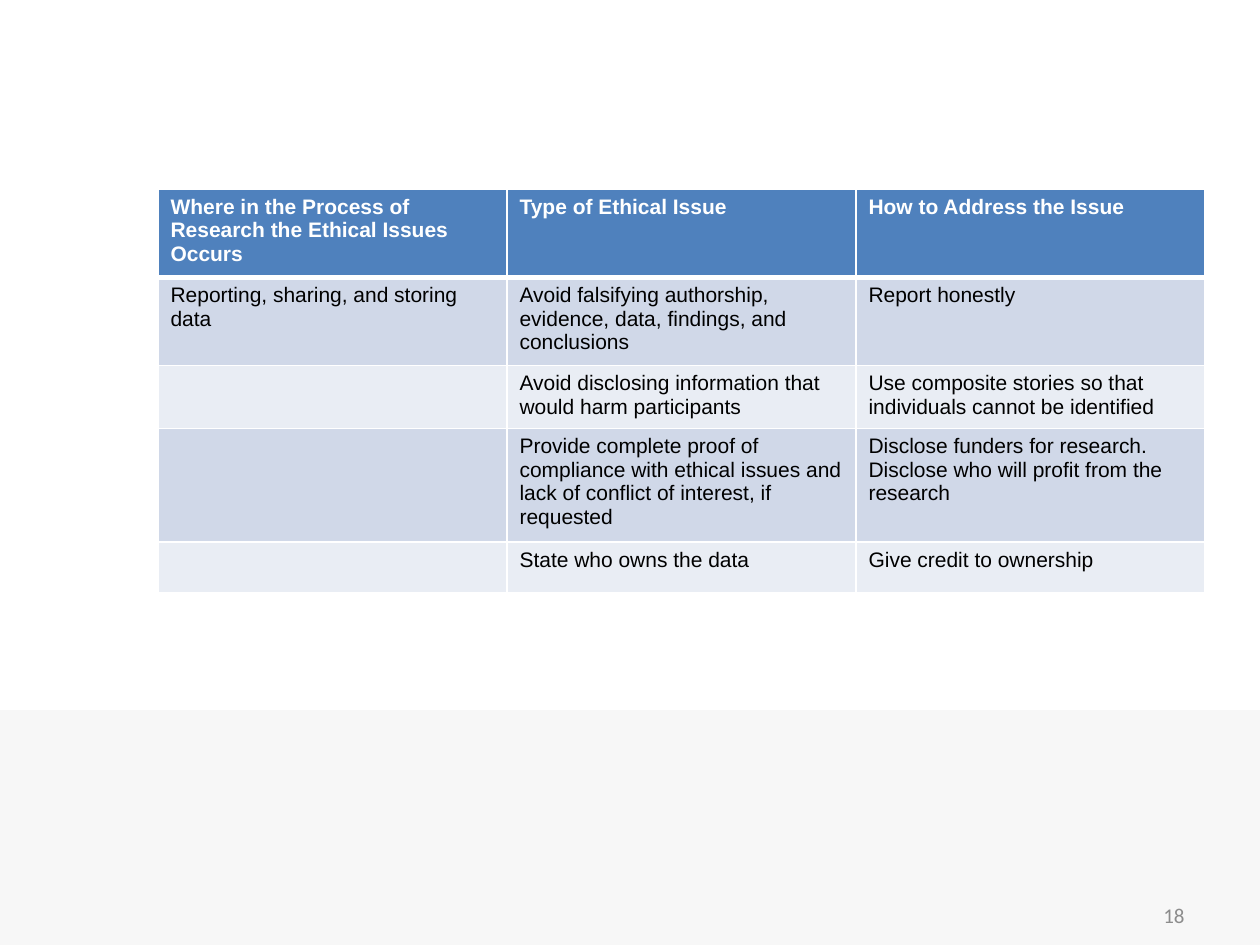
import lxml.etree
import pptx
import pptx.dml.color
import pptx.enum.shapes
import pptx.enum.text
import pptx.oxml.ns
import pptx.util

EMU_PER_PIXEL = 914400 / 126
WHITE = pptx.dml.color.RGBColor(0xFF, 0xFF, 0xFF)
BLACK = pptx.dml.color.RGBColor(0x00, 0x00, 0x00)
FOOTER_GRAY = pptx.dml.color.RGBColor(0xF7, 0xF7, 0xF7)
NUMBER_GRAY = pptx.dml.color.RGBColor(0x8C, 0x8C, 0x8C)
HEADER_BLUE = pptx.dml.color.RGBColor(0x4F, 0x81, 0xBD)
BAND_DARK = pptx.dml.color.RGBColor(0xD0, 0xD8, 0xE8)
BAND_LIGHT = pptx.dml.color.RGBColor(0xE9, 0xED, 0xF4)

ISSUES = [
    ("Where in the Process of Research the Ethical Issues Occurs",
     "Type of Ethical Issue", "How to Address the Issue"),
    ("Reporting, sharing, and storing data",
     "Avoid falsifying authorship, evidence, data, findings, and conclusions",
     "Report honestly"),
    ("", "Avoid disclosing information that would harm participants",
     "Use composite stories so that individuals cannot be identified"),
    ("", "Provide complete proof of compliance with ethical issues and "
     "lack of conflict of interest, if requested",
     "Disclose funders for research. Disclose who will profit from the research"),
    ("", "State who owns the data", "Give credit to ownership"),
]
ROW_HEIGHTS = [82, 85, 60, 107, 50]
COLUMN_WIDTH = 349


def px(pixels):
    return pptx.util.Emu(round(pixels * EMU_PER_PIXEL))


def style_font(paragraph, name, color, bold=False):
    paragraph.font.name = name
    paragraph.font.size = pptx.util.Pt(12)
    paragraph.font.bold = bold
    paragraph.font.color.rgb = color


def add_footer_band(slide):
    band = slide.shapes.add_shape(
        pptx.enum.shapes.MSO_SHAPE.RECTANGLE, px(0), px(710), px(1260), px(235))
    band.shadow.inherit = False
    band.fill.solid()
    band.fill.fore_color.rgb = FOOTER_GRAY
    band.line.fill.background()


def add_slide_number(slide, number):
    box = slide.shapes.add_textbox(px(903), px(890), px(294), px(50))
    frame = box.text_frame
    frame.word_wrap = True
    frame.vertical_anchor = pptx.enum.text.MSO_ANCHOR.MIDDLE
    paragraph = frame.paragraphs[0]
    paragraph.text = number
    paragraph.alignment = pptx.enum.text.PP_ALIGN.RIGHT
    style_font(paragraph, "Calibri", NUMBER_GRAY)


def set_borders(cell, widths):
    properties = cell._tc.get_or_add_tcPr()
    for side, points in zip("LRTB", widths):
        line = lxml.etree.SubElement(
            properties, pptx.oxml.ns.qn("a:ln" + side), w=str(pptx.util.Pt(points)))
        fill = lxml.etree.SubElement(line, pptx.oxml.ns.qn("a:solidFill"))
        lxml.etree.SubElement(fill, pptx.oxml.ns.qn("a:srgbClr"), val=str(WHITE))


def fill_cell(cell, text, row_index):
    is_header = row_index == 0
    top = 3 if row_index == 1 else 1
    bottom = 3 if is_header else 1
    set_borders(cell, (1, 1, top, bottom))
    cell.fill.solid()
    band = BAND_DARK if row_index % 2 else BAND_LIGHT
    cell.fill.fore_color.rgb = HEADER_BLUE if is_header else band
    if text:
        paragraph = cell.text_frame.paragraphs[0]
        paragraph.text = text
        style_font(paragraph, "Arial", WHITE if is_header else BLACK, is_header)


def add_issue_table(slide):
    columns = len(ISSUES[0])
    table = slide.shapes.add_table(
        len(ISSUES), columns, px(158), px(189),
        px(columns * COLUMN_WIDTH), px(sum(ROW_HEIGHTS))).table
    for column in table.columns:
        column.width = px(COLUMN_WIDTH)
    for row_index, texts in enumerate(ISSUES):
        table.rows[row_index].height = px(ROW_HEIGHTS[row_index])
        for column_index, text in enumerate(texts):
            fill_cell(table.cell(row_index, column_index), text, row_index)


def main():
    presentation = pptx.Presentation()
    presentation.slide_width = px(1260)
    presentation.slide_height = px(945)
    slide = presentation.slides.add_slide(presentation.slide_layouts[6])
    add_footer_band(slide)
    add_slide_number(slide, "18")
    add_issue_table(slide)
    presentation.save("out.pptx")


main()
